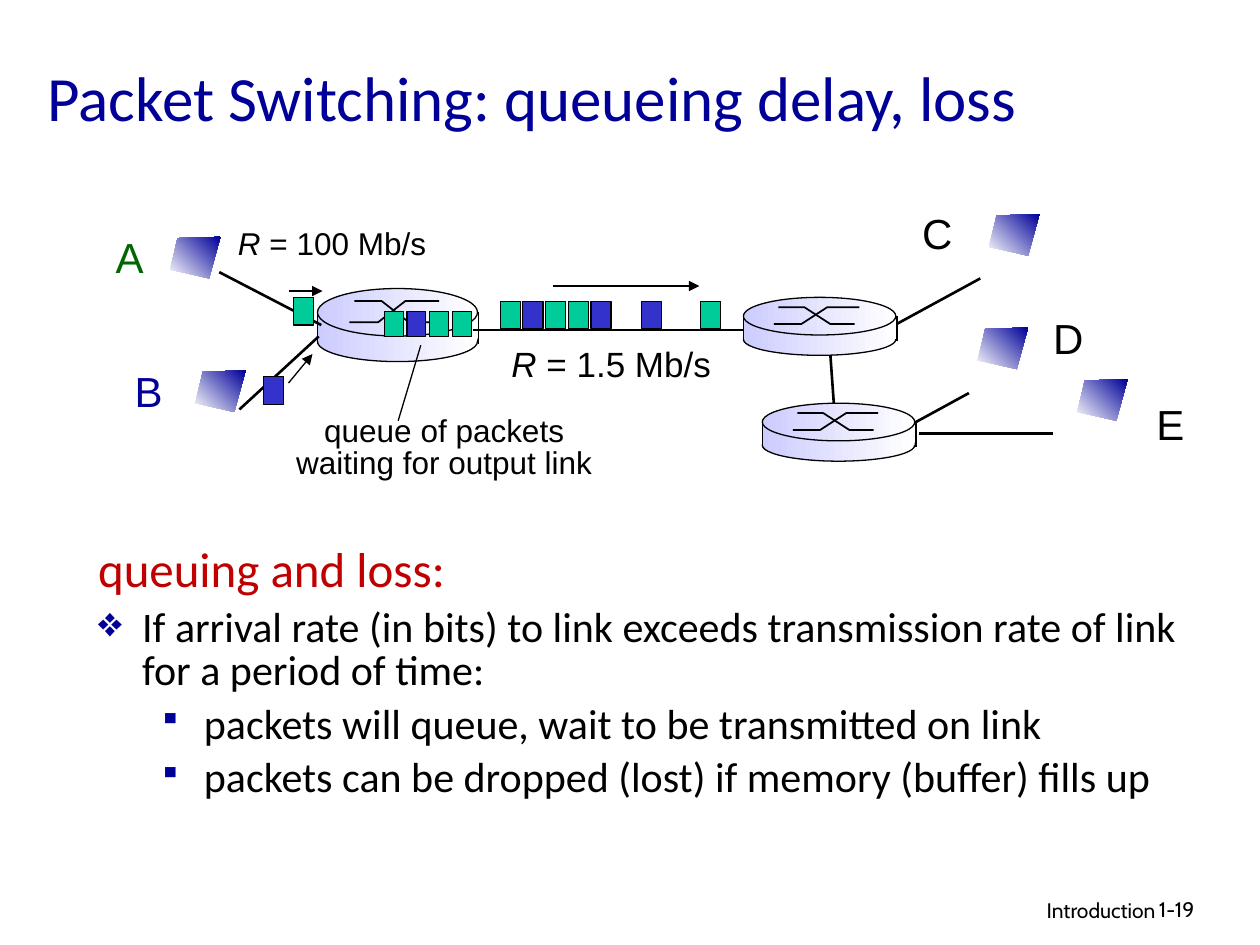
from dataclasses import dataclass

from lxml.etree import SubElement
from pptx import Presentation
from pptx.dml.color import RGBColor as RGB
from pptx.enum.shapes import MSO_CONNECTOR as LINK, MSO_SHAPE as SHAPE
from pptx.enum.text import MSO_ANCHOR as ANCHOR, MSO_AUTO_SIZE as FIT, PP_ALIGN as ALIGN
from pptx.oxml.ns import qn
from pptx.util import Cm, Pt


@dataclass(frozen=True)
class Theme:
    black: str = "000000"
    white: str = "FFFFFF"
    navy: str = "000099"
    forest: str = "006600"
    red: str = "C00000"
    lavender: str = "CCCCFF"
    green: str = "00CC99"
    blue: str = "3333CC"
    heading: str = "Calibri"
    label: str = "Arial"
    footer: str = "Cabin"
    title_size: int = 36
    lead_size: int = 28
    body_size: int = 24
    rate_size: int = 20
    note_size: int = 18
    footer_size: int = 12
    thin: float = 0.75
    cross: float = 1
    thick: float = 1.5


T = Theme()

TITLE = "Packet Switching: queueing delay, loss"
LEAD = "queuing and loss:"
LEAD_INDENT = (0.38, -0.36)
BULLETS = [
    (0, "If arrival rate (in bits) to link exceeds transmission rate of link for a period of time:"),
    (1, "packets will queue, wait to be transmitted on link"),
    (1, "packets can be dropped (lost) if memory (buffer) fills up"),
]
BULLET_STYLES = [("❖", 100, 0.37, -0.35), ("▪", 75, 0.86, -0.36)]
QUEUE_NOTE = ["queue of packets", "waiting for output link"]
HOSTS = [
    ("A", T.forest, 0.82, 1.79, 1.35, 1.88),
    ("B", T.navy, 0.97, 2.85, 1.55, 2.94),
    ("C", T.black, 7.22, 1.6, 7.85, 1.7),
    ("D", T.black, 8.26, 2.43, 7.76, 2.6),
    ("E", T.black, 9.08, 3.11, 8.55, 3.01),
]
RATES = [
    (" = 100 Mb/s", T.note_size, 1.79, 1.73, 1.85, 0.4),
    (" = 1.5 Mb/s", T.rate_size, 3.96, 2.67, 1.95, 0.44),
]
EDGE_ROUTER = (2.52, 2.29, 1.27, 0.58)
CORE_ROUTERS = [(5.9, 2.36, 1.21, 0.46), (6.05, 3.2, 1.21, 0.46)]
LINKS = [
    (1.74, 2.16, 2.55, 2.58),
    (1.9, 3.25, 2.53, 2.67),
    (3.75, 2.62, 5.96, 2.62),
    (6.62, 3.23, 6.59, 2.81),
    (7.12, 2.57, 7.78, 2.21),
    (7.29, 3.44, 8.36, 3.44),
    (7.69, 3.12, 7.25, 3.36),
]
ARROWS = [(2.29, 2.31, 2.56, 2.31), (2.29, 3.04, 2.48, 2.81), (4.39, 2.27, 5.55, 2.27)]
POINTER = (3.16, 3.34, 3.34, 2.74)
PACKET, QUEUED, PITCH = (0.16, 0.22), (0.15, 0.2), 0.18
G, B = T.green, T.blue
PACKETS = [
    (3.97, 2.39, PACKET, [G, B, G, G, B]),
    (5.09, 2.39, PACKET, [B]),
    (5.56, 2.39, PACKET, [G]),
    (3.05, 2.47, QUEUED, [G, B, G, G]),
    (2.33, 2.36, PACKET, [G]),
    (2.09, 2.99, PACKET, [B]),
]
SCREEN = [(0.4, 0), (0.06, 0.01), (0, 0.26), (0.31, 0.33)]
CROSS = [
    [(0.2, 0.46), (0.38, 0.46), (0.55, 0.17), (0.76, 0.17)],
    [(0.23, 0.17), (0.4, 0.17), (0.57, 0.46), (0.73, 0.46)],
]
DISC_PARTS = [(SHAPE.OVAL, 0.45, 0.55), (SHAPE.RECTANGLE, 0.38, 0.34), (SHAPE.OVAL, 0, 0.65)]


def inch(v):
    return Cm(v * 2.54)


def rgb(c):
    return RGB.from_string(c)


def outline(s, width):
    s.line.color.rgb = rgb(T.black)
    s.line.width = Pt(width)


def shade(s, end, angle):
    s.fill.gradient()
    s.fill.gradient_angle = angle
    for stop, c in zip(s.fill.gradient_stops, (T.white, end)):
        stop.color.rgb = rgb(c)


def add_block(shapes, kind, x, y, w, h):
    s = shapes.add_shape(kind, *map(inch, (x, y, w, h)))
    s.shadow.inherit = False
    return s


def add_path(shapes, points, close):
    pts = [(inch(x), inch(y)) for x, y in points]
    fb = shapes.build_freeform(*pts[0])
    fb.add_line_segments(pts[1:], close=close)
    s = fb.convert_to_shape()
    s.shadow.inherit = False
    return s


def add_line(shapes, ends, width, arrow=False):
    s = shapes.add_connector(LINK.STRAIGHT, *map(inch, ends))
    outline(s, width)
    pr = s._element.spPr
    if arrow:
        SubElement(pr.find(qn("a:ln")), qn("a:tailEnd"), type="triangle")
    SubElement(pr, qn("a:effectLst"))


def add_router(shapes, x, y, w, h):
    for kind, top, height in DISC_PARTS:
        s = add_block(shapes, kind, x, y + top * h, w, height * h)
        shade(s, T.lavender, 180)
        if kind == SHAPE.OVAL:
            outline(s, T.thin)
        else:
            s.line.fill.background()
    for stroke in CROSS:
        s = add_path(shapes, [(x + u * w, y + v * h) for u, v in stroke], False)
        s.fill.background()
        outline(s, T.cross)
    for side in (x, x + w + 0.01):
        add_line(shapes, (side, y + 0.32 * h, side, y + 0.76 * h), T.thin)


def add_box(shapes, x, y, w, h, wrap=True, grow=False):
    tf = shapes.add_textbox(*map(inch, (x, y, w, h))).text_frame
    tf.word_wrap = wrap
    tf.auto_size = FIT.SHAPE_TO_FIT_TEXT if grow else FIT.NONE
    return tf


def add_run(p, text, font, size, color=T.black, italic=False):
    r = p.add_run()
    r.text = text
    r.font.name, r.font.size, r.font.italic = font, Pt(size), italic
    r.font.color.rgb = rgb(color)


def set_indent(p, left, indent):
    pr = p._p.get_or_add_pPr()
    pr.set("marL", str(inch(left)))
    pr.set("indent", str(inch(indent)))
    return pr


def set_bullet(p, level):
    char, size, left, indent = BULLET_STYLES[level]
    p.level = level
    pr = set_indent(p, left, indent)
    SubElement(SubElement(pr, qn("a:buClr")), qn("a:srgbClr"), val=T.navy)
    SubElement(pr, qn("a:buSzPct"), val=str(size * 1000))
    SubElement(pr, qn("a:buChar"), char=char)


def add_network(shapes):
    add_router(shapes, *EDGE_ROUTER)
    for ends in LINKS:
        add_line(shapes, ends, T.thick)
    for x, y, size, colors in PACKETS:
        for i, c in enumerate(colors):
            s = add_block(shapes, SHAPE.RECTANGLE, x + i * PITCH, y, *size)
            s.fill.solid()
            s.fill.fore_color.rgb = rgb(c)
            outline(s, T.thin)
    for ends in ARROWS:
        add_line(shapes, ends, T.thin, arrow=True)
    add_line(shapes, POINTER, T.thin)
    for name, color, x, y, sx, sy in HOSTS:
        tf = add_box(shapes, x, y, 0.43, 0.5, wrap=False, grow=True)
        add_run(tf.paragraphs[0], name, T.label, T.body_size, color)
        s = add_path(shapes, [(sx + u, sy + v) for u, v in SCREEN], True)
        shade(s, T.navy, 45)
        s.line.fill.background()
    for text, size, *at in RATES:
        p = add_box(shapes, *at, grow=True).paragraphs[0]
        add_run(p, "R", T.label, size, italic=True)
        add_run(p, text, T.label, size)
    tf = add_box(shapes, 2.24, 3.26, 2.57, 0.66, grow=True)
    for i, text in enumerate(QUEUE_NOTE):
        p = tf.add_paragraph() if i else tf.paragraphs[0]
        p.alignment, p.line_spacing = ALIGN.CENTER, 0.85
        add_run(p, text, T.label, T.note_size)
    for router in CORE_ROUTERS:
        add_router(shapes, *router)


def add_copy(shapes):
    tf = add_box(shapes, 0.28, 0.14, 9.24, 1.25)
    tf.vertical_anchor = ANCHOR.MIDDLE
    add_run(tf.paragraphs[0], TITLE, T.heading, T.title_size, T.navy)
    tf = add_box(shapes, 0.66, 4.3, 8.89, 2.22)
    p = tf.paragraphs[0]
    p.line_spacing = 0.85
    set_indent(p, *LEAD_INDENT)
    add_run(p, LEAD, T.heading, T.lead_size, T.red)
    for level, text in BULLETS:
        p = tf.add_paragraph()
        p.line_spacing, p.space_before = 0.85, Pt(6)
        set_bullet(p, level)
        add_run(p, text, T.heading, T.body_size)
    p = add_box(shapes, 6.1, 7.07, 3.17, 0.31).paragraphs[0]
    p.alignment = ALIGN.RIGHT
    add_run(p, "Introduction", T.footer, T.footer_size)
    p = add_box(shapes, 9.1, 7.07, 0.74, 0.3).paragraphs[0]
    add_run(p, "1-19", T.footer, T.footer_size)


def main():
    prs = Presentation()
    prs.slide_width, prs.slide_height = Cm(25.4), Cm(19.05)
    shapes = prs.slides.add_slide(prs.slide_layouts[6]).shapes
    add_network(shapes)
    add_copy(shapes)
    prs.save("out.pptx")


if __name__ == "__main__":
    main()
